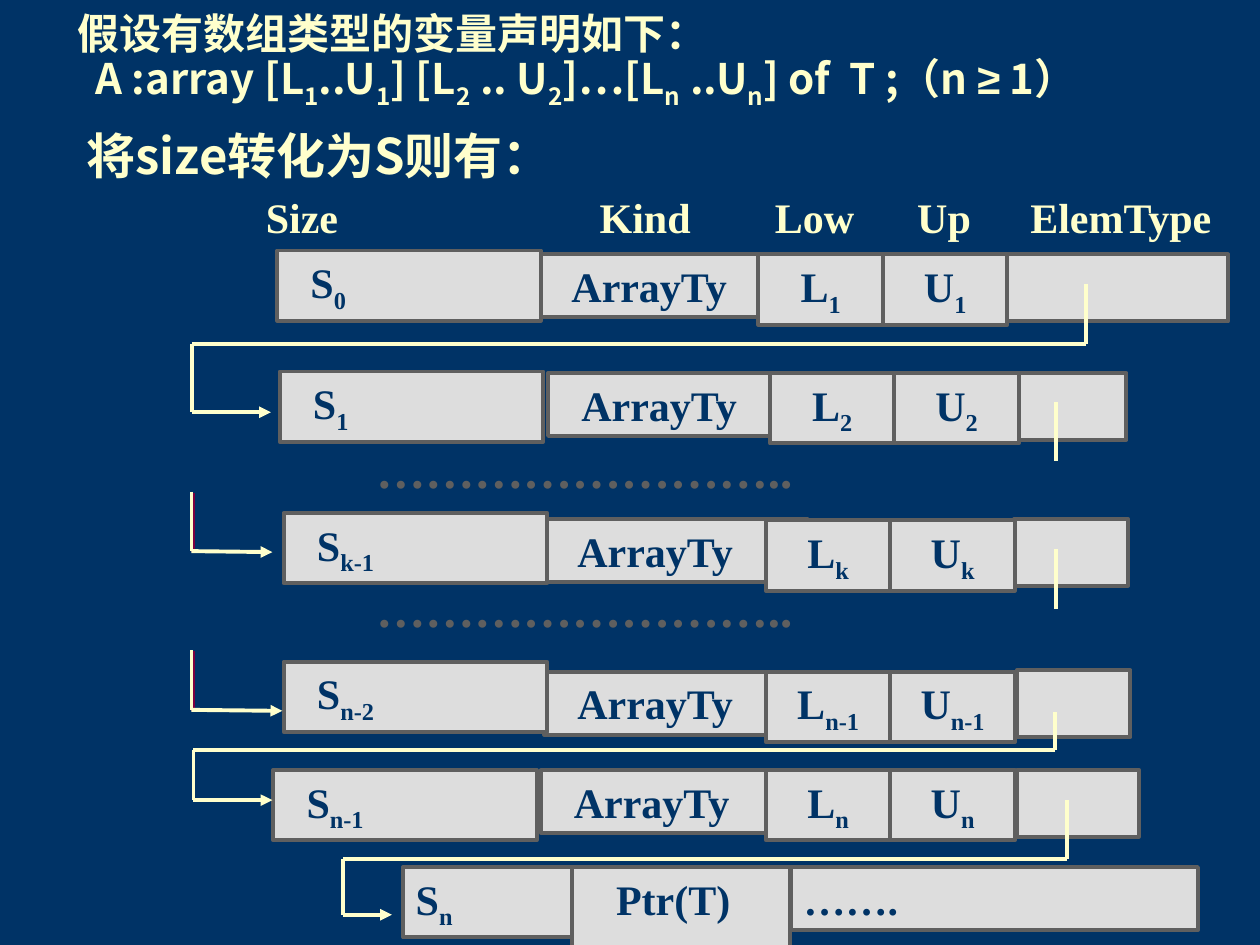
"""Build the slide that shows nested array type records linked by arrows."""
from dataclasses import dataclass
from itertools import pairwise

from lxml import etree
from pptx import Presentation
from pptx import util as u
from pptx.dml.color import RGBColor
from pptx.enum import shapes, text
from pptx.oxml.ns import qn

NAVY = RGBColor(0x00, 0x33, 0x66)
CREAM = RGBColor(0xFF, 0xFF, 0xCC)
SILVER = RGBColor(0xDD, 0xDD, 0xDD)
GRAY = RGBColor(0x5F, 0x5F, 0x5F)
MAROON = RGBColor(0x7E, 0x00, 0x3F)
SERIF = "Times New Roman"
CHINESE = "Noto Sans CJK SC"
LINE_WIDTH = u.Pt(2.25)
CELL_WIDTH, BOUND_WIDTH = 5.31, 2.51
TALL, MIDDLE, SHORT = 1.42, 1.35, 1.27
INDENT = 0.42


@dataclass(frozen=True)
class Frame:
    left: float
    top: float
    width: float
    height: float

    def lengths(self) -> tuple:
        return tuple(u.Cm(n) for n in (self.left, self.top, self.width, self.height))


@dataclass(frozen=True)
class Record:
    size: str
    bound: str
    size_at: tuple
    kind_at: tuple
    low_at: tuple
    elem_at: tuple
    elem_width: float
    kind_width: float = CELL_WIDTH


@dataclass(frozen=True)
class Trace:
    points: tuple
    arrow: bool = False
    color: RGBColor = CREAM


RECORDS = (
    Record("0", "1", (5.59, 5.05), (10.85, 5.13), (15.29, 5.13), (20.29, 5.13), 4.47),
    Record("1", "2", (5.64, 7.49), (11.05, 7.52), (15.52, 7.52), (20.5, 7.52), 2.21),
    Record("k-1", "k", (5.72, 10.34), (10.97, 10.46), (15.44, 10.49), (20.45, 10.46), 2.29),
    Record("n-2", "n-1", (5.72, 13.34), (10.97, 13.54), (15.44, 13.54), (20.5, 13.51), 2.29),
    Record("n-1", "n", (5.51, 15.52), (10.9, 15.52), (15.44, 15.52), (20.5, 15.52), 2.46, 4.6),
)
HEADERS = (
    ("Size", 5.11, 1.96),
    ("Kind", 11.84, 2.34),
    ("Low", 15.37, 2.26),
    ("Up", 18.24, 1.59),
    ("ElemType", 20.52, 4.22),
)
TRACES = (
    Trace(((3.89, 9.93), (3.89, 11.13)), color=MAROON),
    Trace(((3.89, 13.13), (3.89, 14.33)), color=MAROON),
    Trace(((21.89, 5.72), (21.89, 6.93), (3.87, 6.93), (3.87, 8.31), (5.46, 8.31)), True),
    Trace(((21.29, 8.1), (21.29, 9.3))),
    Trace(((3.86, 9.91), (3.86, 11.11), (5.49, 11.13)), True),
    Trace(((21.29, 11.07), (21.29, 12.27))),
    Trace(((3.86, 13.11), (3.86, 14.31), (5.69, 14.33)), True),
    Trace(((21.27, 14.35), (21.27, 15.11), (3.9, 15.11), (3.9, 16.13), (5.49, 16.13)), True),
    Trace(((21.51, 16.13), (21.51, 17.32), (6.91, 17.32), (6.91, 18.44), (7.9, 18.44)), True),
)


def style_span(span, size: float, color: RGBColor, name: str) -> None:
    font = span.font
    font.size, font.bold, font.name = u.Pt(size), True, name
    font.color.rgb = color
    etree.SubElement(span._r.get_or_add_rPr(), qn("a:ea")).set("typeface", name)


def write(para, wording: str, size: float, color: RGBColor, name: str = SERIF) -> None:
    """Write wording whose every second part between bars is a subscript."""
    for index, part in enumerate(wording.split("|")):
        span = para.add_run()
        span.text = part
        style_span(span, size, color, "Arial" if part == "≥" else name)
        if index % 2 and part != "≥":
            span._r.get_or_add_rPr().set("baseline", "-25000")


def prepare(box, wrap: bool = True) -> None:
    frame = box.text_frame
    frame.word_wrap = wrap
    frame.auto_size = text.MSO_AUTO_SIZE.NONE
    frame.vertical_anchor = text.MSO_ANCHOR.TOP


def add_label(page, frame: Frame, wording: str, size: float, color: RGBColor,
              name: str = SERIF, wrap: bool = False):
    box = page.shapes.add_textbox(*frame.lengths())
    prepare(box, wrap)
    para = box.text_frame.paragraphs[0]
    para.alignment = text.PP_ALIGN.LEFT
    write(para, wording, size, color, name)
    return para


def add_cell(page, frame: Frame, wording: str = "", indent: float = 0,
             align=text.PP_ALIGN.LEFT) -> None:
    box = page.shapes.add_shape(shapes.MSO_SHAPE.RECTANGLE, *frame.lengths())
    box.shadow.inherit = False
    box.fill.solid()
    box.fill.fore_color.rgb = SILVER
    box.line.color.rgb, box.line.width = GRAY, LINE_WIDTH
    if wording:
        prepare(box)
        box.text_frame.margin_left = u.Cm(0.25 + indent)
        para = box.text_frame.paragraphs[0]
        para.alignment = align
        write(para, wording, 24, NAVY)


def add_record(page, record: Record) -> None:
    low_left, low_top = record.low_at
    add_cell(page, Frame(*record.elem_at, record.elem_width, MIDDLE))
    add_cell(page, Frame(*record.kind_at, record.kind_width, SHORT), "ArrayTy", INDENT)
    for column, letter in enumerate("LU"):
        frame = Frame(low_left + column * BOUND_WIDTH, low_top, BOUND_WIDTH, TALL)
        add_cell(page, frame, f"{letter}|{record.bound}", align=text.PP_ALIGN.CENTER)
    add_cell(page, Frame(*record.size_at, CELL_WIDTH, TALL), f"S|{record.size}", INDENT)


def add_trace(page, trace: Trace) -> None:
    for start, end in pairwise(trace.points):
        ends = [u.Cm(n) for n in (*start, *end)]
        line = page.shapes.add_connector(shapes.MSO_CONNECTOR.STRAIGHT, *ends)
        line.line.color.rgb, line.line.width = trace.color, LINE_WIDTH
        etree.SubElement(line._element.spPr, qn("a:effectLst"))
        if trace.arrow and end == trace.points[-1]:
            etree.SubElement(line.line._get_or_add_ln(), qn("a:tailEnd")).set("type", "triangle")


def add_title(page) -> None:
    title = page.shapes.title
    title.left, title.top, title.width, title.height = Frame(1.3, 0.13, 24.61, 3.45).lengths()
    prepare(title)
    heading = title.text_frame.paragraphs[0]
    declaration = title.text_frame.add_paragraph()
    for para, spacing in ((heading, 0.9), (declaration, 0.8)):
        para.alignment, para.line_spacing = text.PP_ALIGN.LEFT, spacing
    declaration._p.get_or_add_pPr().set("marL", str(u.Cm(0.37)))
    write(heading, "假设有数组类型的变量声明如下：", 24, CREAM, CHINESE)
    write(declaration, "A :array [L|1|..U|1|] [L|2| .. U|2|]…[L|n| ..U|n|] of  T ;（n |≥| 1）",
          24, CREAM, CHINESE)


def main() -> None:
    deck = Presentation()
    deck.slide_width, deck.slide_height = u.Cm(25.4), u.Cm(19.05)
    page = deck.slides.add_slide(deck.slide_layouts[5])
    page.background.fill.solid()
    page.background.fill.fore_color.rgb = NAVY
    add_title(page)
    subtitle = add_label(page, Frame(1.5, 2.54, 19.61, 1.45), "将size转化为S则有：",
                         28, CREAM, CHINESE, True)
    subtitle.line_spacing = 0.9
    for wording, left, width in HEADERS:
        add_label(page, Frame(left, 3.73, width, SHORT), wording, 24, CREAM)
    for record in RECORDS:
        add_record(page, record)
    add_cell(page, Frame(8.13, 17.48, 4.6, TALL), "S|n")
    add_cell(page, Frame(11.53, 17.48, 4.39, 2.29), "Ptr(T)", 0.64)
    add_cell(page, Frame(15.95, 17.48, 8.2, SHORT), "…….")
    for top in (8.74, 11.53):
        add_label(page, Frame(7.34, top, 8.89, 1.45), "……………………..", 28, GRAY)
    for trace in TRACES:
        add_trace(page, trace)
    deck.save("out.pptx")


if __name__ == "__main__":
    main()
